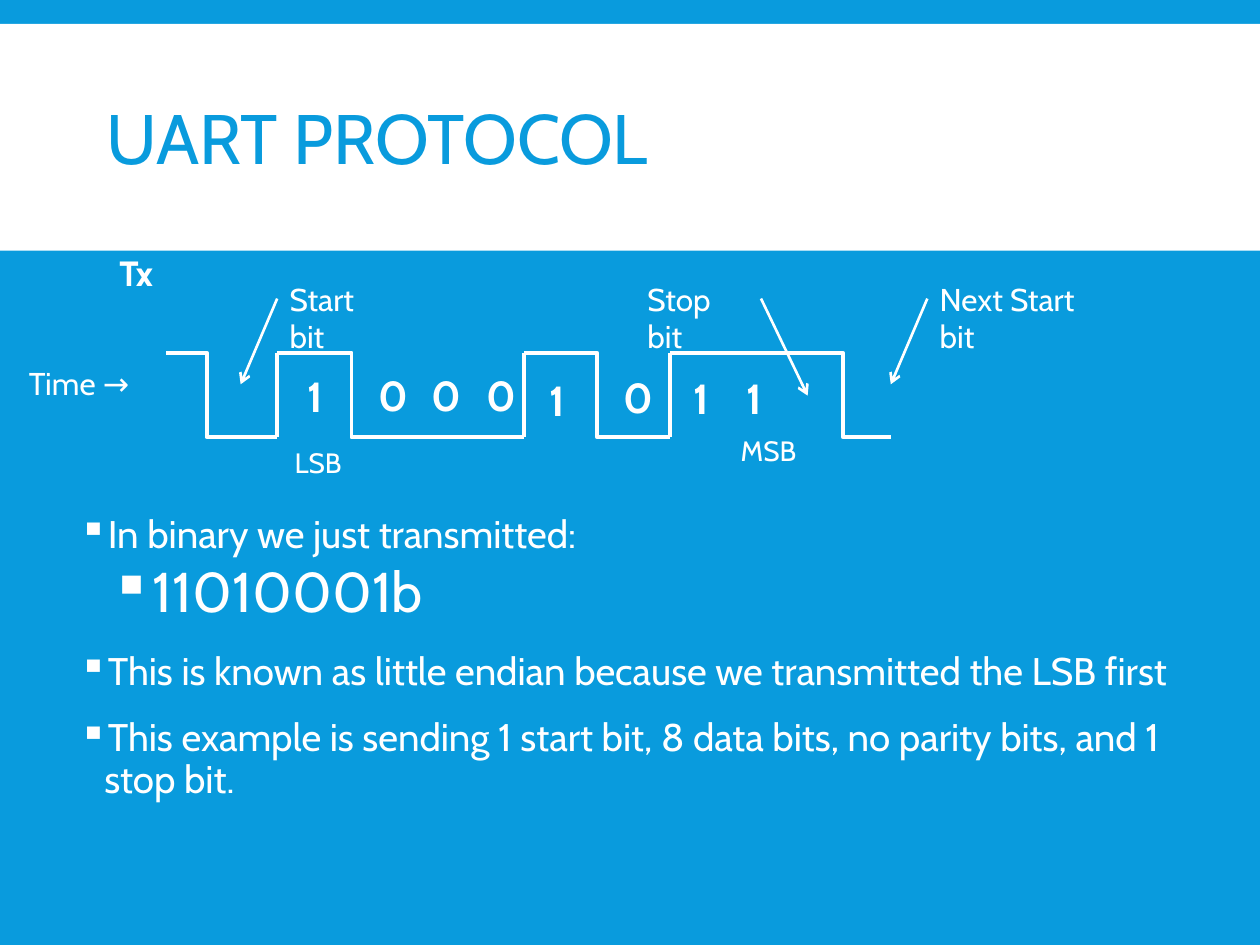
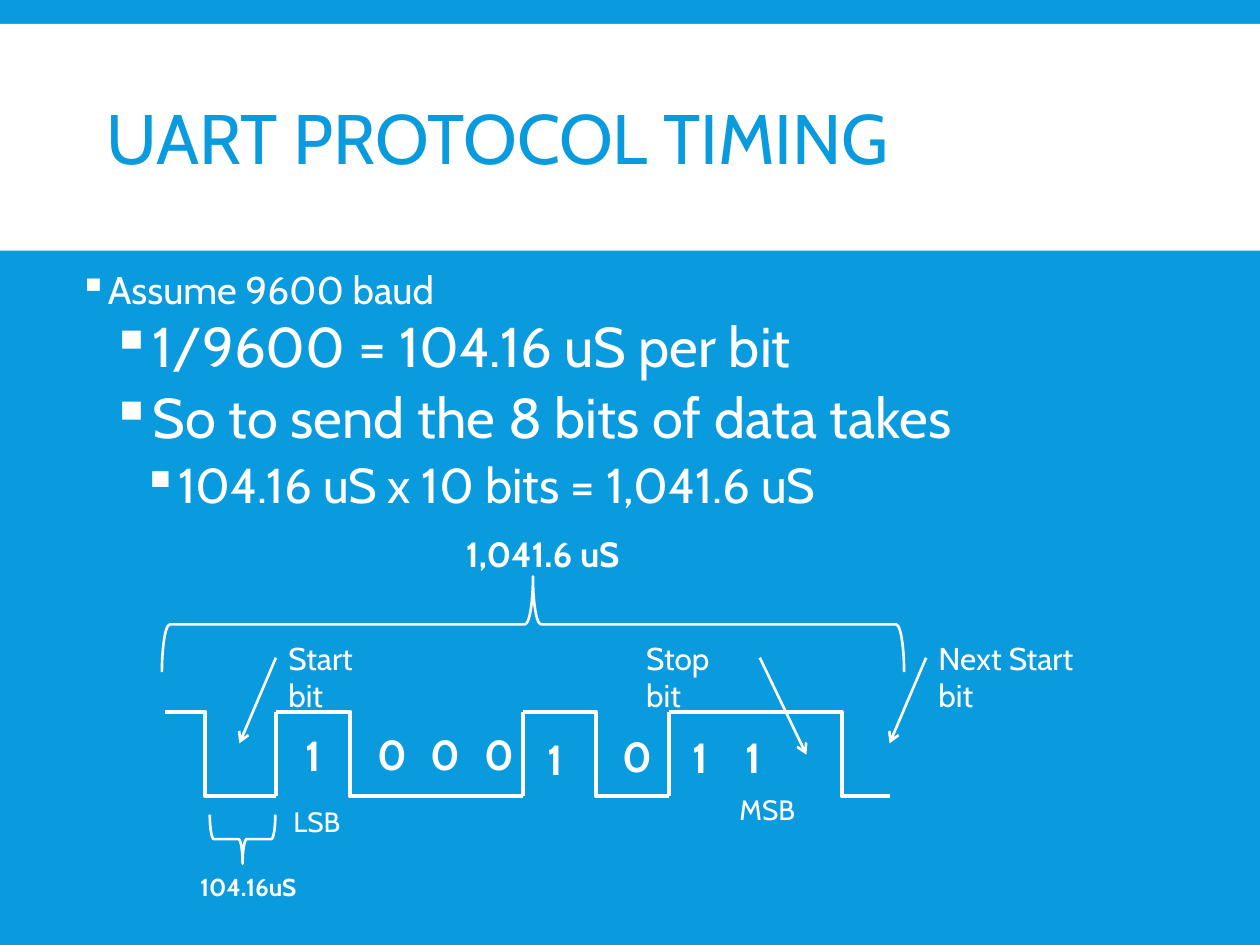
from dataclasses import dataclass

from lxml import etree
from pptx import Presentation
from pptx.dml.color import RGBColor
from pptx.enum import shapes, text
from pptx.oxml import ns
from pptx.util import Inches, Pt


@dataclass(frozen=True)
class Theme:
    """Colours, type sizes and line widths of the deck."""
    font: str = "Cabin"
    blue: RGBColor = RGBColor(0x09, 0x9B, 0xDD)
    white: RGBColor = RGBColor(0xFF, 0xFF, 0xFF)
    title: int = 40
    body: tuple = (22, 32, 28)
    digit: int = 24
    strong: int = 20
    label: int = 18
    end: int = 16
    small: int = 14
    wave: float = 2.25
    thin: float = 1.5


T = Theme()
HIGH, LOW = 0.63, 1.3
EDGES = (1.32, 2.2, 4.16, 5.32, 7.07)
FALLS = (1.64, 2.79, 4.74, 6.69)
BITS = (("1", 2.34, 0.72), ("0", 2.91, 0.71), ("0", 3.33, 0.71),
        ("0", 3.76, 0.71), ("1", 4.26, 0.75), ("0", 4.85, 0.73),
        ("1", 5.41, 0.74), ("1", 5.83, 0.74))
NOTES = (("Start bit", 2.2, 1.02), ("Stop bit", 5.04, 1),
         ("Next Start bit", 7.36, 1.56))
ARROWS = ((2.2, 1.91, 0.88), (6.04, 6.41, 0.97), (7.36, 7.07, 0.88))
ENDS = (("LSB", 2.24, 1.32, 0.58), ("MSB", 5.78, 1.22, 0.68))


def node(parent, tag, **attrs):
    """Append a drawing element to a parent."""
    return etree.SubElement(parent, ns.qn(tag), attrs)


def style(run, size, color=T.white, bold=False):
    """Set the font of a run."""
    run.font.name, run.font.size, run.font.bold = T.font, Pt(size), bold
    run.font.color.rgb = color


def frame(home, x, y, w, h):
    """Add a wrapping text frame."""
    box = home.add_textbox(Inches(x), Inches(y), Inches(w), Inches(h))
    box.text_frame.word_wrap = True
    return box.text_frame


def write(home, words, x, y, w, h, size=T.label, color=T.white, bold=False,
          anchor=text.MSO_ANCHOR.TOP, space=1.0):
    """Write one line of formatted text."""
    body = frame(home, x, y, w, h)
    body.vertical_anchor = anchor
    para = body.paragraphs[0]
    para.line_spacing = space
    run = para.add_run()
    run.text = words
    style(run, size, color, bold)


def bullets(home, items, y, h):
    """Write a bulleted list of (level, words) pairs."""
    body = frame(home, 0.53, y, 9, h)
    for i, (level, words) in enumerate(items):
        para = body.add_paragraph() if i else body.paragraphs[0]
        para.level, para.line_spacing = level, 0.9
        para.space_before = Pt(2 if level else 12)
        para.space_after = Pt(4 if level else 2)
        props = para._p.get_or_add_pPr()
        props.set("marL", str(Inches(0.2 + 0.25 * level)))
        props.set("indent", str(Inches(-0.2)))
        node(node(props, "a:buClr"), "a:srgbClr", val=str(T.white))
        node(props, "a:buChar", char="▪")
        run = para.add_run()
        run.text = words
        style(run, T.body[level])


def line(home, x1, y1, x2, y2, width=T.wave, arrow=False, bend=None):
    """Draw a straight line, an arrow or a step bent at a share of its width."""
    kind = shapes.MSO_CONNECTOR
    link = home.add_connector(kind.STRAIGHT if bend is None else kind.ELBOW,
                              Inches(x1), Inches(y1), Inches(x2), Inches(y2))
    link.line.color.rgb, link.line.width = T.white, Pt(width)
    props = link._element.spPr
    if arrow:
        node(link.line._get_or_add_ln(), "a:tailEnd", type="arrow")
    if bend is not None:
        guides = props.find(ns.qn("a:prstGeom")).get_or_add_avLst()
        node(guides, "a:gd", name="adj1", fmla=f"val {round(bend * 100000)}")
    node(props, "a:effectLst")


def brace(home, x, y, w, h, turn):
    """Draw a turned brace."""
    mark = home.add_shape(shapes.MSO_SHAPE.RIGHT_BRACE,
                          Inches(x), Inches(y), Inches(w), Inches(h))
    mark.rotation, mark.shadow.inherit = turn, False
    mark.fill.background()
    mark.line.color.rgb, mark.line.width = T.white, Pt(T.thin)


def signal(home, dx, top):
    """Draw the labelled waveform of one byte."""
    home = home.add_group_shape().shapes
    high, low = top + HIGH, top + LOW
    for start, stop, fall in zip(EDGES, EDGES[1:], FALLS):
        line(home, start + dx, high, stop + dx, low,
             bend=(fall - start) / (stop - start))
    for x in EDGES[1:-1]:
        line(home, x + dx, high, x + dx, low)
    for bit, x, y in BITS:
        write(home, bit, x + dx, top + y, 0.37, 0.5, size=T.digit, bold=True)
    for words, x, w in NOTES:
        write(home, words, x + dx, top, w, 0.4)
    for x1, x2, y in ARROWS:
        line(home, x1 + dx, top + 0.2, x2 + dx, top + y, T.thin, arrow=True)
    for words, x, y, w in ENDS:
        write(home, words, x + dx, top + y, w, 0.37, size=T.end)


def page(deck, title):
    """Add a slide with the title band and return its shapes."""
    slide = deck.slides.add_slide(deck.slide_layouts[6])
    slide.background.fill.solid()
    slide.background.fill.fore_color.rgb = T.blue
    band = slide.shapes.add_shape(shapes.MSO_SHAPE.RECTANGLE, 0, Inches(0.19),
                                  deck.slide_width, Inches(1.8))
    band.shadow.inherit = False
    band.fill.solid()
    band.fill.fore_color.rgb = T.white
    band.line.fill.background()
    write(slide.shapes, title, 0.75, 0.31, 8.5, 1.65, size=T.title,
          color=T.blue, anchor=text.MSO_ANCHOR.MIDDLE, space=0.85)
    return slide.shapes


def frames(deck):
    """Build the slide on the byte format."""
    home = page(deck, "UART PROTOCOL")
    bullets(home, (
        (0, "In binary we just transmitted:"),
        (1, "11010001b"),
        (0, "This is known as little endian because we transmitted the LSB first"),
        (0, "This example is sending 1 start bit, 8 data bits, no parity bits, "
            "and 1 stop bit.")), 4.04, 3.28)
    signal(home, 0, 2.17)
    write(home, "Time →", 0.13, 2.84, 1.31, 0.4)
    write(home, "Tx", 0.85, 1.95, 0.5, 0.44, size=T.strong, bold=True)


def timing(deck):
    """Build the slide on bit timing."""
    home = page(deck, "UART PROTOCOL TIMING")
    bullets(home, (
        (0, "Assume 9600 baud"),
        (1, "1/9600 = 104.16 uS per bit"),
        (1, "So to send the 8 bits of data takes"),
        (2, "104.16 uS x 10 bits = 1,041.6 uS")), 2.1, 3.08)
    signal(home, -0.01, 5.02)
    write(home, "104.16uS", 1.49, 6.87, 1.02, 0.34, size=T.small, bold=True)
    write(home, "1,041.6 uS", 3.6, 4.18, 1.57, 0.44, size=T.strong, bold=True)
    brace(home, 3.85, 2.01, 0.76, 5.89, 270)
    brace(home, 1.73, 6.4, 0.39, 0.52, 90)


def main():
    """Build and save the deck."""
    deck = Presentation()
    deck.slide_width, deck.slide_height = Inches(10), Inches(7.5)
    frames(deck)
    timing(deck)
    deck.save("out.pptx")


if __name__ == "__main__":
    main()
